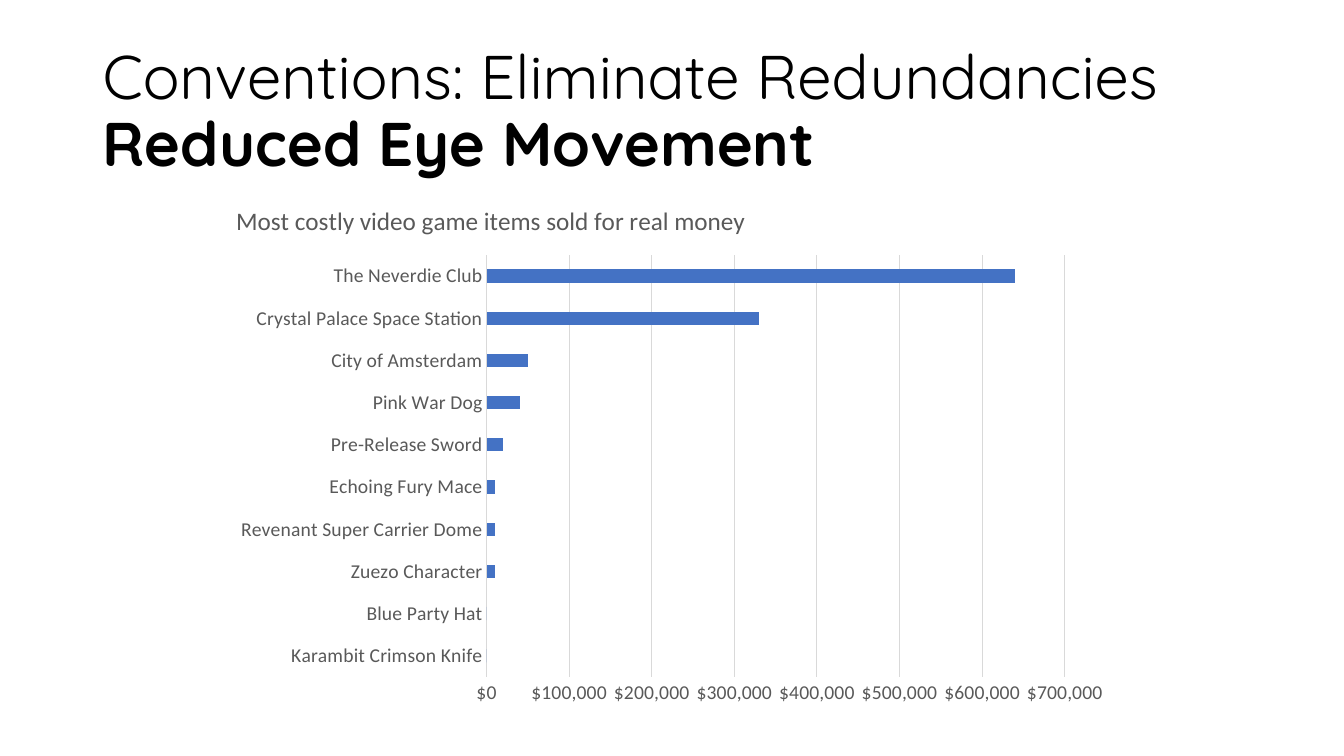
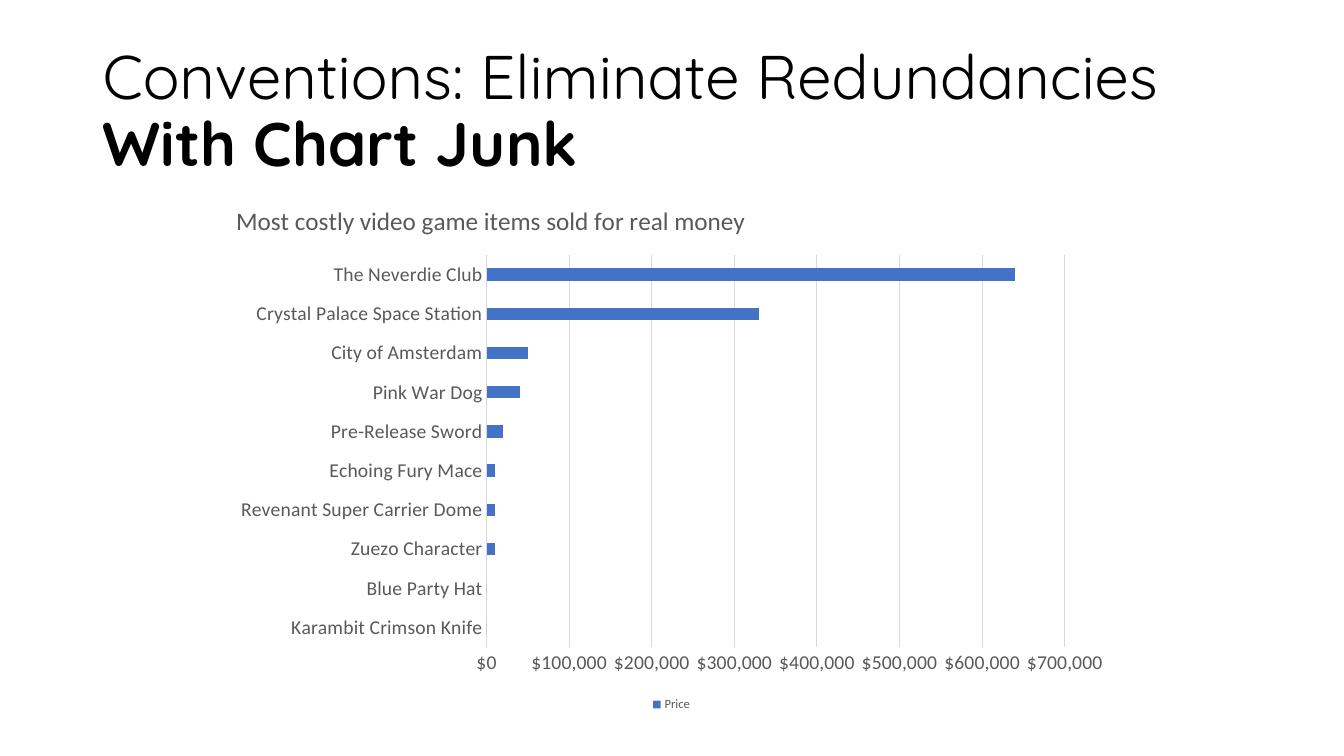
from lxml import etree
from pptx import Presentation
from pptx.chart.data import CategoryChartData
from pptx.dml.color import RGBColor
from pptx.enum.chart import XL_CHART_TYPE, XL_LEGEND_POSITION, XL_TICK_MARK
from pptx.enum.text import MSO_ANCHOR, MSO_AUTO_SIZE, PP_ALIGN
from pptx.oxml.ns import qn
from pptx.util import Cm, Pt

BAR = XL_CHART_TYPE.BAR_CLUSTERED
BOTTOM = XL_LEGEND_POSITION.BOTTOM
NO_TICK = XL_TICK_MARK.NONE
MIDDLE = MSO_ANCHOR.MIDDLE
NO_FIT = MSO_AUTO_SIZE.NONE
LEFT = PP_ALIGN.LEFT

COLORS = {"title": "000000", "label": "595959", "line": "D9D9D9", "bar": "4472C4"}
HEAD_FONT, BODY_FONT = "Quicksand", "Calibri"
HEAD_BOX = (2.33, 1.01, 29.21, 3.68)
CHART_BOX = (5.61, 4.6, 22.63, 13.44)
NBSP = chr(160)

HEAD = "Conventions: Eliminate Redundancies"
CAPTION = "Most costly video game items sold for real money"
PRICES = {
    "Karambit Crimson Knife": 0,
    "Blue Party Hat": 0,
    "Zuezo Character": 10000,
    "Revenant Super Carrier Dome": 10000,
    "Echoing Fury Mace": 10000,
    "Pre-Release Sword": 20000,
    "Pink War Dog": 40000,
    "City of Amsterdam": 50000,
    "Crystal Palace Space Station": 330000,
    "The Neverdie Club": 640000,
}


def color(name):
    return RGBColor.from_string(COLORS[name])


def style(font, size, name="label", face=BODY_FONT, bold=False):
    font.size, font.name, font.bold = Pt(size), face, bold
    font.color.rgb = color(name)


def set_line(line):
    line.color.rgb = color("line")
    line.width = Pt(0.75)


def set_layout(parent, index, **parts):
    """Fix the place of a chart part, in fractions of the chart."""
    for old in parent.findall(qn("c:layout")):
        parent.remove(old)
    layout = etree.Element(qn("c:layout"))
    manual = etree.SubElement(layout, qn("c:manualLayout"))
    for tag, val in parts.items():
        etree.SubElement(manual, qn("c:" + tag)).set("val", str(val))
    parent.insert(index, layout)


def add_title(slide, box, text):
    title = slide.shapes.title
    title.left, title.top, title.width, title.height = map(Cm, box)
    frame = title.text_frame
    frame.auto_size, frame.vertical_anchor = NO_FIT, MIDDLE
    par = frame.paragraphs[0]
    par.alignment, par.line_spacing = LEFT, 0.9
    run = par.add_run()
    run.text = HEAD
    style(run.font, 44, "title", HEAD_FONT)
    par.add_line_break()
    run = par.add_run()
    run.text = text
    style(run.font, 44, "title", HEAD_FONT, True)


def add_caption(chart):
    chart.has_title = True
    title = chart.chart_title
    run = title.text_frame.paragraphs[0].add_run()
    run.text = CAPTION
    style(run.font, 18)
    title.include_in_layout = False
    set_layout(title._element, 1, xMode="edge", yMode="edge", x=0.01, y=0.03)


def style_axes(chart):
    items, prices = chart.category_axis, chart.value_axis
    for axis in (items, prices):
        axis.major_tick_mark = axis.minor_tick_mark = NO_TICK
        style(axis.tick_labels.font, 14)
    set_line(items.format.line)
    prices.format.line.fill.background()
    prices.has_major_gridlines = True
    set_line(prices.major_gridlines.format.line)
    prices.minimum_scale, prices.maximum_scale = 0, 700000
    prices.major_unit = 100000
    prices.tick_labels.number_format = '"$"#,##0'
    prices.tick_labels.number_format_is_linked = False


def add_legend(chart):
    chart.has_legend = True
    chart.legend.position = BOTTOM
    chart.legend.include_in_layout = False
    style(chart.legend.font, 9)


def add_bars(slide, box, name, legend):
    data = CategoryChartData()
    data.categories = [item.replace(" ", NBSP) for item in PRICES]
    data.add_series(name, list(PRICES.values()))
    chart = slide.shapes.add_chart(BAR, *map(Cm, box), data).chart
    style(chart.font, 10, "title")
    add_caption(chart)
    style_axes(chart)
    plot = chart.plots[0]
    plot.gap_width, plot.vary_by_categories = 219, False
    fill = plot.series[0].format.fill
    fill.solid()
    fill.fore_color.rgb = color("bar")
    chart.has_legend = False
    if legend:
        add_legend(chart)
    area = chart._chartSpace.chart.plotArea
    set_layout(area, 0, layoutTarget="inner", xMode="edge", yMode="edge",
               x=0.294, y=0.136, w=0.644, h=0.735 if legend else 0.791)


def add_slide(deck, text, name, legend):
    slide = deck.slides.add_slide(deck.slide_layouts[5])
    add_title(slide, HEAD_BOX, text)
    add_bars(slide, CHART_BOX, name, legend)


def main():
    deck = Presentation()
    deck.slide_width, deck.slide_height = Cm(33.87), Cm(19.05)
    add_slide(deck, "Reduced Eye Movement", "Series 1", False)
    add_slide(deck, "With Chart Junk", "Price", True)
    deck.save("out.pptx")


if __name__ == "__main__":
    main()
